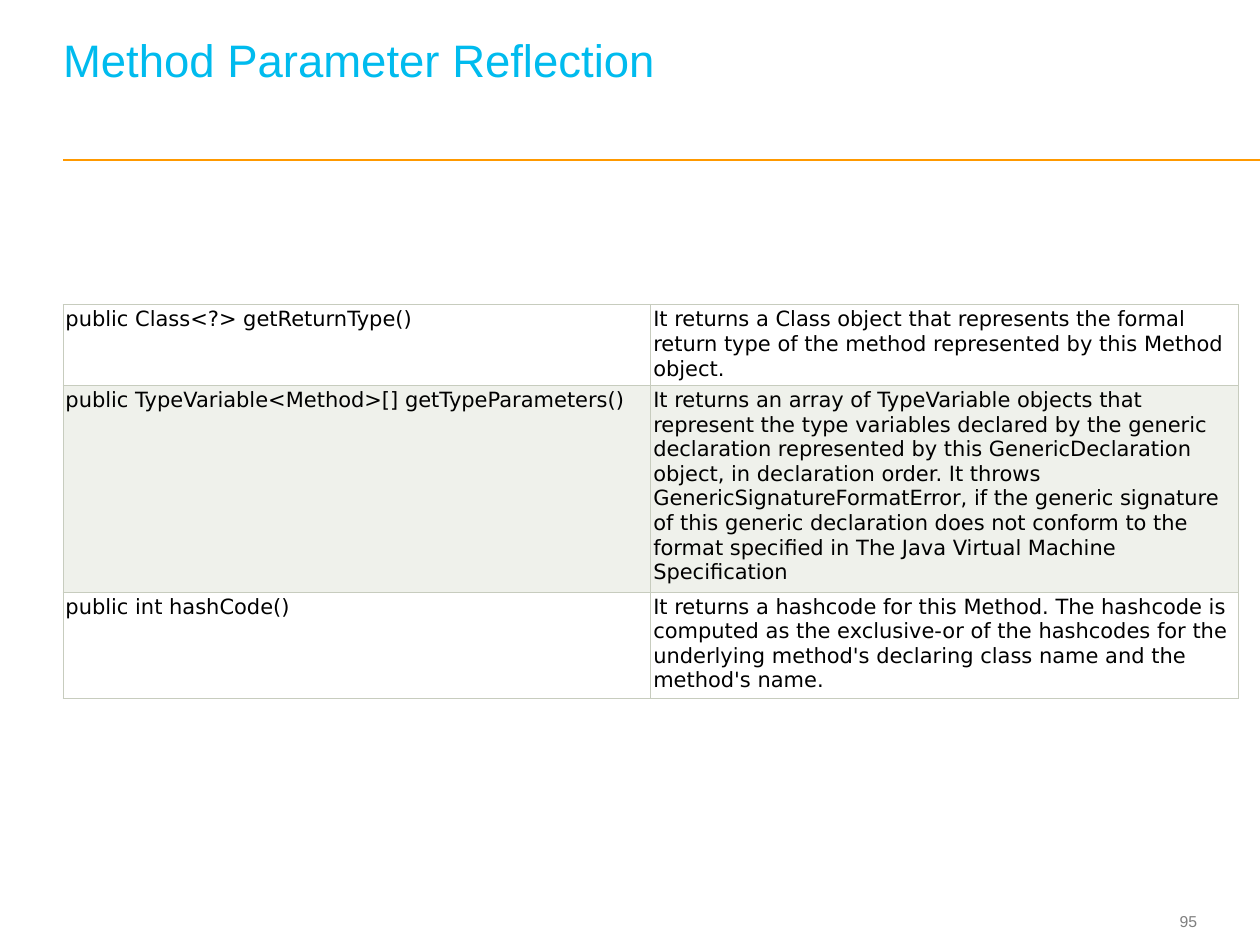
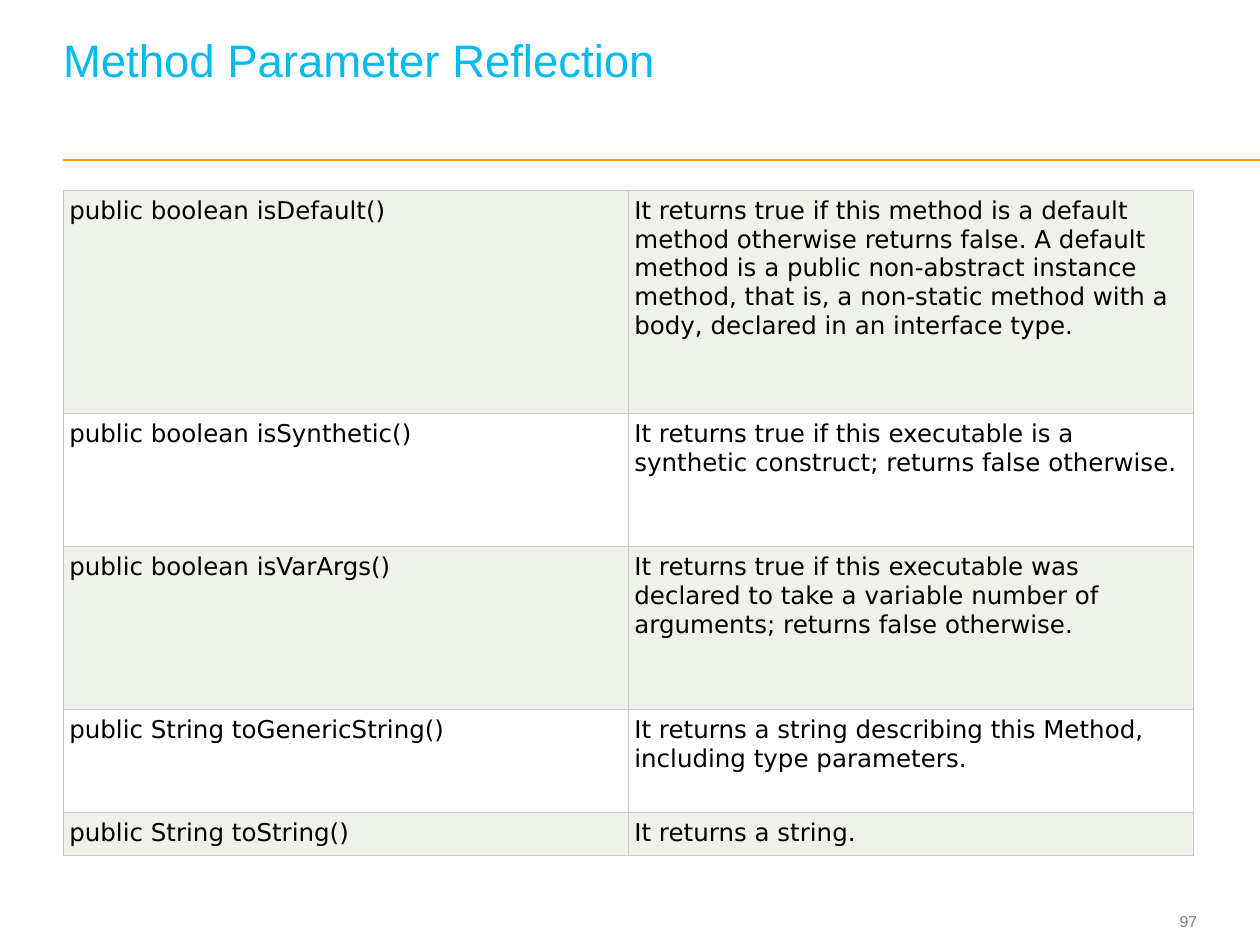
from dataclasses import dataclass

from lxml import etree
from pptx import Presentation
from pptx import util as u
from pptx.dml import color
from pptx.enum import shapes, text
from pptx.oxml import ns

# Slide size and grid: 100 columns by 75 rows
SLIDE_WIDTH, SLIDE_HEIGHT = u.Inches(10), u.Inches(7.5)
COLUMNS, ROWS = 100, 75
MARGIN = 5
CONTENT_WIDTH = 89.7
RULE_ROW = 12.7

# Shared look
RULE_COLOUR = "FF9900"
BORDER_COLOUR = "C7CCBE"
PLAIN, SHADED = "FFFFFF", "EFF1EB"
TITLE_SIZE = 26
TITLE_FONT = {"name": "Arial", "size": u.Pt(TITLE_SIZE), "bold": False}
NUMBER_FONT = {"name": "Arial", "size": u.Pt(9)}
FRAME_SIDES = ("margin_left", "margin_top", "margin_right", "margin_bottom")


@dataclass
class Method:
    signature: str
    description: str
    rows: float
    fill: str


@dataclass
class MethodPage:
    number: int
    top: float
    width: float
    padding: float
    size: int
    methods: list[Method]


PAGES = [
    MethodPage(95, 24.2, 93.3, 0.2, 12, [
        Method("public Class<?> getReturnType()",
               "It returns a Class object that represents the formal return type of the "
               "method represented by this Method object.", 5.1, PLAIN),
        Method("public TypeVariable<Method>[] getTypeParameters()",
               "It returns an array of TypeVariable objects that represent the type variables "
               "declared by the generic declaration represented by this GenericDeclaration "
               "object, in declaration order. It throws GenericSignatureFormatError, if the "
               "generic signature of this generic declaration does not conform to the format "
               "specified in The Java Virtual Machine Specification", 13.1, SHADED),
        Method("public int hashCode()",
               "It returns a hashcode for this Method. The hashcode is computed as the "
               "exclusive-or of the hashcodes for the underlying method's declaring class "
               "name and the method's name.", 6.7, PLAIN),
    ]),
    MethodPage(97, 15.1, CONTENT_WIDTH, 0.5, 14, [
        Method("public boolean isDefault()",
               "It returns true if this method is a default method otherwise returns false. "
               "A default method is a public non-abstract instance method, that is, a "
               "non-static method with a body, declared in an interface type.", 17.7, SHADED),
        Method("public boolean isSynthetic()",
               "It returns true if this executable is a synthetic construct; returns false "
               "otherwise.", 10.6, PLAIN),
        Method("public boolean isVarArgs()",
               "It returns true if this executable was declared to take a variable number of "
               "arguments; returns false otherwise.", 12.9, SHADED),
        Method("public String toGenericString()",
               "It returns a string describing this Method, including type parameters.",
               8.2, PLAIN),
        Method("public String toString()", "It returns a string.", 3.4, SHADED),
    ]),
]


def across(columns: float) -> int:
    return round(SLIDE_WIDTH * columns / COLUMNS)


def down(rows: float) -> int:
    return round(SLIDE_HEIGHT * rows / ROWS)


def rgb(value: str) -> color.RGBColor:
    return color.RGBColor.from_string(value)


def apply(target, values: dict) -> None:
    for key, value in values.items():
        setattr(target, key, value)


def style_font(font, values: dict, colour: str) -> None:
    apply(font, values)
    font.color.rgb = rgb(colour)


def add_title(slide) -> None:
    title = slide.shapes.title
    apply(title, {"left": across(MARGIN), "top": down(1.9),
                  "width": across(CONTENT_WIDTH), "height": down(8.6)})
    frame = title.text_frame
    frame.text = "Method Parameter Reflection"
    apply(frame, dict.fromkeys(FRAME_SIDES, 0))
    # The title sits one line above the bottom of its box
    apply(frame, {"margin_bottom": u.Pt(TITLE_SIZE), "word_wrap": True,
                  "auto_size": text.MSO_AUTO_SIZE.NONE,
                  "vertical_anchor": text.MSO_ANCHOR.BOTTOM})
    heading = frame.paragraphs[0]
    apply(heading, {"alignment": text.PP_ALIGN.LEFT, "line_spacing": u.Pt(TITLE_SIZE)})
    style_font(heading.runs[0].font, TITLE_FONT, "00BBEE")


def add_rule(slide) -> None:
    rule = slide.shapes.add_connector(
        shapes.MSO_CONNECTOR.STRAIGHT,
        across(MARGIN), down(RULE_ROW), across(COLUMNS), down(RULE_ROW))
    rule.line.color.rgb = rgb(RULE_COLOUR)
    rule.line.width = u.Pt(1)
    etree.SubElement(rule._element.spPr, ns.qn("a:effectLst"))


def add_page_number(slide, number: int) -> None:
    box = slide.shapes.add_textbox(across(89.1), down(71.8), across(5.9), down(2.7))
    frame = box.text_frame
    frame.text = str(number)
    apply(frame, dict.fromkeys(FRAME_SIDES, 0))
    apply(frame, {"word_wrap": True, "vertical_anchor": text.MSO_ANCHOR.MIDDLE})
    frame.paragraphs[0].alignment = text.PP_ALIGN.RIGHT
    style_font(frame.paragraphs[0].runs[0].font, NUMBER_FONT, "7F7F7F")


def add_borders(cell) -> None:
    properties = cell._tc.get_or_add_tcPr()
    for position, side in enumerate(("lnL", "lnR", "lnT", "lnB")):
        border = etree.Element(ns.qn(f"a:{side}"), w=str(u.Pt(0.6)))
        fill = etree.SubElement(border, ns.qn("a:solidFill"))
        etree.SubElement(fill, ns.qn("a:srgbClr"), val=BORDER_COLOUR)
        properties.insert(position, border)


def fill_cell(cell, words: str, fill: str, page: MethodPage) -> None:
    cell.text = words
    apply(cell, dict.fromkeys(FRAME_SIDES, across(page.padding)))
    cell.fill.solid()
    cell.fill.fore_color.rgb = rgb(fill)
    add_borders(cell)
    style_font(cell.text_frame.paragraphs[0].runs[0].font,
               {"name": "DejaVu Sans", "size": u.Pt(page.size)}, "000000")


def add_method_table(slide, page: MethodPage) -> None:
    height = sum(method.rows for method in page.methods)
    table = slide.shapes.add_table(
        len(page.methods), 2, across(MARGIN), down(page.top),
        across(page.width), down(height)).table
    apply(table, {"first_row": False, "horz_banding": False})
    for index, method in enumerate(page.methods):
        table.rows[index].height = down(method.rows)
        for column, words in enumerate((method.signature, method.description)):
            fill_cell(table.cell(index, column), words, method.fill, page)


def main() -> None:
    deck = Presentation()
    apply(deck, {"slide_width": SLIDE_WIDTH, "slide_height": SLIDE_HEIGHT})
    title_only = deck.slide_layouts[5]
    for page in PAGES:
        slide = deck.slides.add_slide(title_only)
        add_rule(slide)
        add_page_number(slide, page.number)
        add_title(slide)
        add_method_table(slide, page)
    deck.save("out.pptx")


if __name__ == "__main__":
    main()
